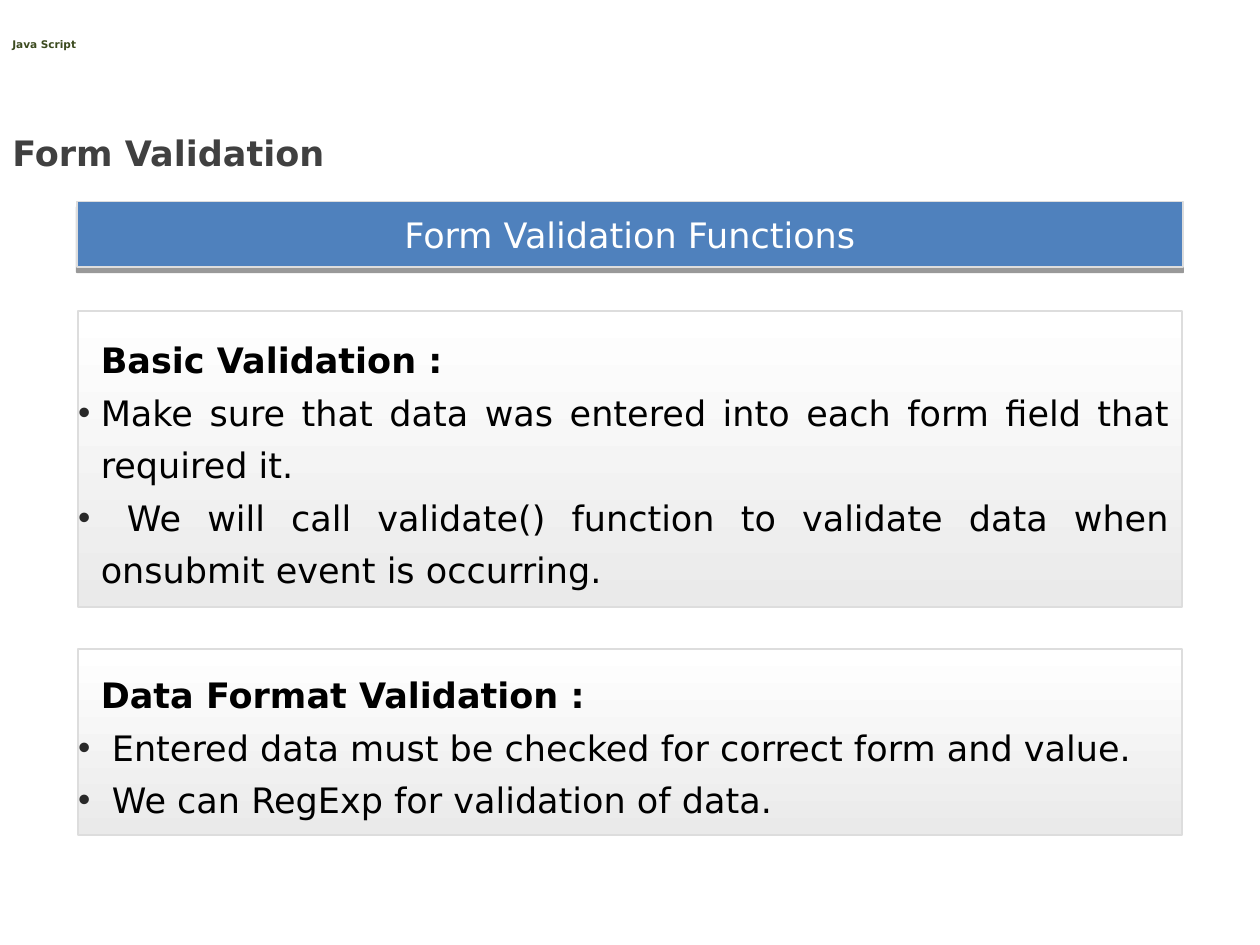
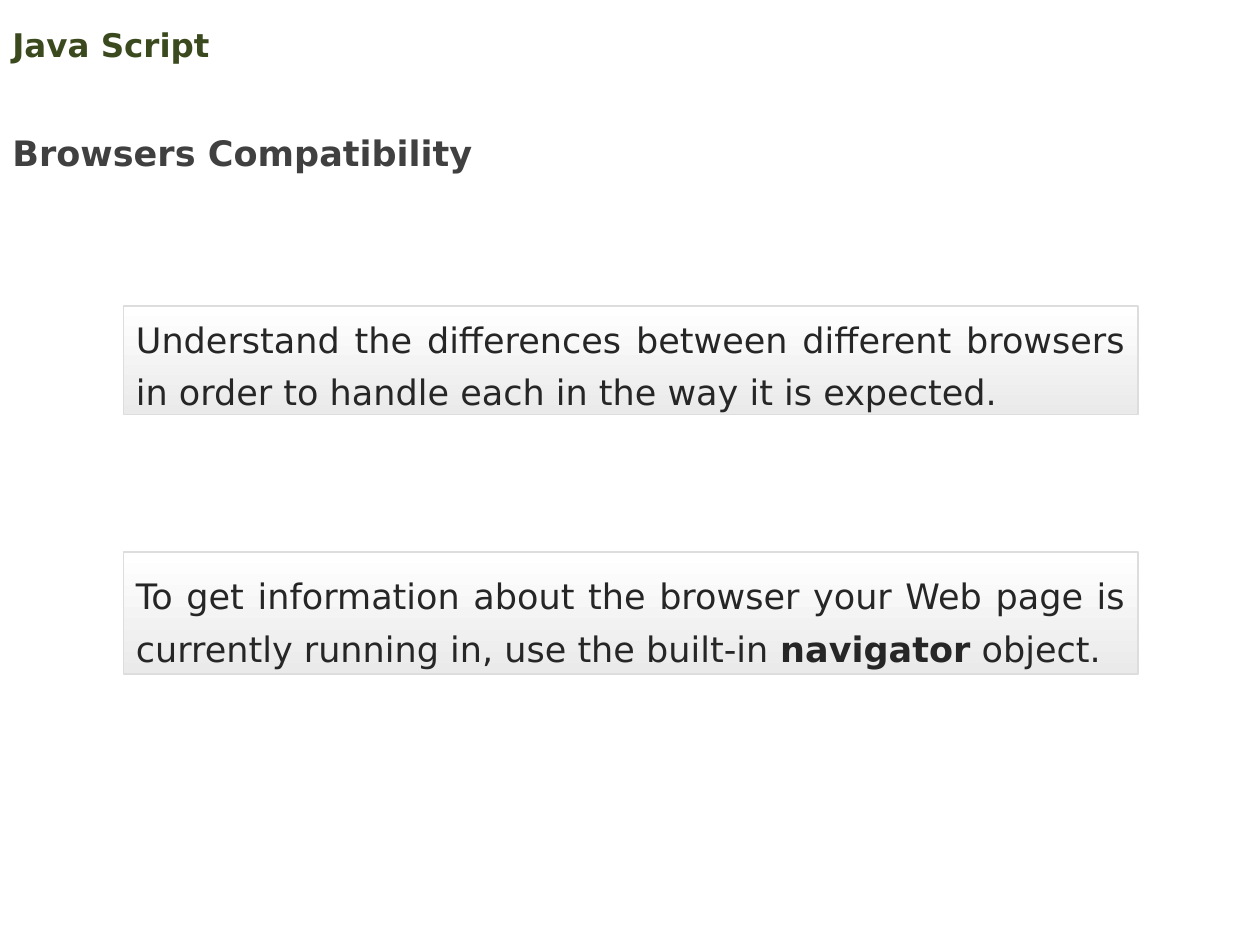
from lxml import etree
from pptx import Presentation
from pptx.dml.color import RGBColor
from pptx.enum.shapes import MSO_SHAPE
from pptx.enum.text import MSO_ANCHOR, MSO_AUTO_SIZE, PP_ALIGN
from pptx.oxml import parse_xml
from pptx.oxml.ns import nsdecls, qn
from pptx.util import Inches, Pt

RECT = MSO_SHAPE.RECTANGLE
TOP, MIDDLE = MSO_ANCHOR.TOP, MSO_ANCHOR.MIDDLE
LEFT, CENTER, JUSTIFY = PP_ALIGN.LEFT, PP_ALIGN.CENTER, PP_ALIGN.JUSTIFY
GROW = MSO_AUTO_SIZE.SHAPE_TO_FIT_TEXT

FONT = "DejaVu Sans"
COLORS = {
    "course": "3B4A1E", "title": "404040", "banner": "4F81BD",
    "edge": "DDDDDD", "light": "FFFFFF", "shade": "EAEAEA",
    "ink": "000000", "body": "262626", "bullet": "292929",
}
INDENT = Inches(0.18)


def write(shape, paras, size=20, color="ink", align=LEFT, anchor=MIDDLE,
          space=None, pads=(0.1, 0.05, 0.1, 0.05), hang=False):
    """Fill a shape with paragraphs, each a list of (text, bold) runs.

    With hang, all paragraphs are indented and all but the first get a bullet.
    """
    frame = shape.text_frame
    frame.word_wrap = True
    frame.vertical_anchor = anchor
    (frame.margin_left, frame.margin_top,
     frame.margin_right, frame.margin_bottom) = map(Inches, pads)
    for i, runs in enumerate(paras):
        para = frame.add_paragraph() if i else frame.paragraphs[0]
        para.alignment = align
        if space:
            para.line_spacing = space
        if hang:
            props = para._p.get_or_add_pPr()
            props.set("marL", str(INDENT))
            props.set("indent", str(-INDENT if i else 0))
            if i:
                tint = etree.SubElement(props, qn("a:buClr"))
                etree.SubElement(tint, qn("a:srgbClr"), val=COLORS["bullet"])
                etree.SubElement(props, qn("a:buFont"), typeface="Arial")
                etree.SubElement(props, qn("a:buChar"), char="•")
        for text, bold in runs:
            run = para.add_run()
            run.text = text
            run.font.name = FONT
            run.font.size = Pt(size)
            run.font.bold = bold
            run.font.color.rgb = RGBColor.from_string(COLORS[color])


def panel(slide, left, top, width, height, fill=None):
    """Add a thin-edged box, with a white to grey gradient unless fill is given."""
    box = slide.shapes.add_shape(
        RECT, Inches(left), Inches(top), Inches(width), Inches(height))
    box.shadow.inherit = False
    box.line.color.rgb = RGBColor.from_string(COLORS["edge"])
    box.line.width = Pt(1)
    if fill:
        box.fill.solid()
        box.fill.fore_color.rgb = RGBColor.from_string(COLORS[fill])
    else:
        box.fill.gradient()
        box.fill.gradient_angle = 270
        for stop, name, place in zip(box.fill.gradient_stops, ("light", "shade"), (0, 1)):
            stop.color.rgb = RGBColor.from_string(COLORS[name])
            stop.position = place
    return box


deck = Presentation()
deck.slide_width, deck.slide_height = Inches(10), Inches(7.5)

# Both slides: course name and title
pages = []
for title, size in (("Form Validation", 6), ("Browsers Compatibility", 18.6)):
    page = deck.slides.add_slide(deck.slide_layouts[6])
    course = page.shapes.add_textbox(0, Inches(0.14), Inches(9), Inches(0.43))
    write(course, [[("Java Script", True)]], size=size, color="course")
    head = page.shapes.add_textbox(0, Inches(0.83), Inches(8.44), Inches(0.6))
    write(head, [[(title, True)]], color="title", anchor=TOP, space=1.5)
    head.text_frame.auto_size = GROW
    pages.append(page)
forms, browsers = pages

# Form validation: banner with a hard shadow, then two bulleted panels
banner = panel(forms, 0.61, 1.6, 8.78, 0.52, fill="banner")
banner._element.spPr.find(qn("a:effectLst")).append(parse_xml(
    f'<a:outerShdw {nsdecls("a")} blurRad="0" dist="{Pt(3)}" dir="5400000" '
    f'rotWithShape="0"><a:srgbClr val="{COLORS["ink"]}">'
    '<a:alpha val="40000"/></a:srgbClr></a:outerShdw>'))
write(banner, [[("Form Validation Functions", False)]], color="light",
      align=CENTER, pads=(0, 0, 0, 0))

checks = [
    (2.47, 2.35, "Basic Validation :", [
        "Make sure that data was entered into each form field that required it.",
        " We will call validate() function to validate data when onsubmit event is occurring.",
    ]),
    (5.15, 1.48, "Data Format Validation :", [
        " Entered data must be checked for correct form and value.",
        " We can RegExp for validation of data.",
    ]),
]
for top, height, name, points in checks:
    box = panel(forms, 0.62, top, 8.76, height)
    write(box, [[(name, True)]] + [[(point, False)] for point in points],
          align=JUSTIFY, space=Pt(30), pads=(0, 0.1, 0.1, 0.1), hang=True)

# Browser compatibility: two plain panels
notes = [
    (2.43, 0.86, MIDDLE, [
        ("Understand the differences between different browsers in order to "
         "handle each in the way it is expected.", False),
    ]),
    (4.38, 0.97, TOP, [
        ("To get information about the browser your Web page is currently "
         "running in, use the built-in ", False),
        ("navigator", True),
        (" object.", False),
    ]),
]
for top, height, anchor, runs in notes:
    box = panel(browsers, 0.98, top, 8.05, height)
    write(box, [runs], color="body", align=JUSTIFY, anchor=anchor,
          space=Pt(30), pads=(0.1, 0.1, 0.1, 0.1))

deck.save("out.pptx")
